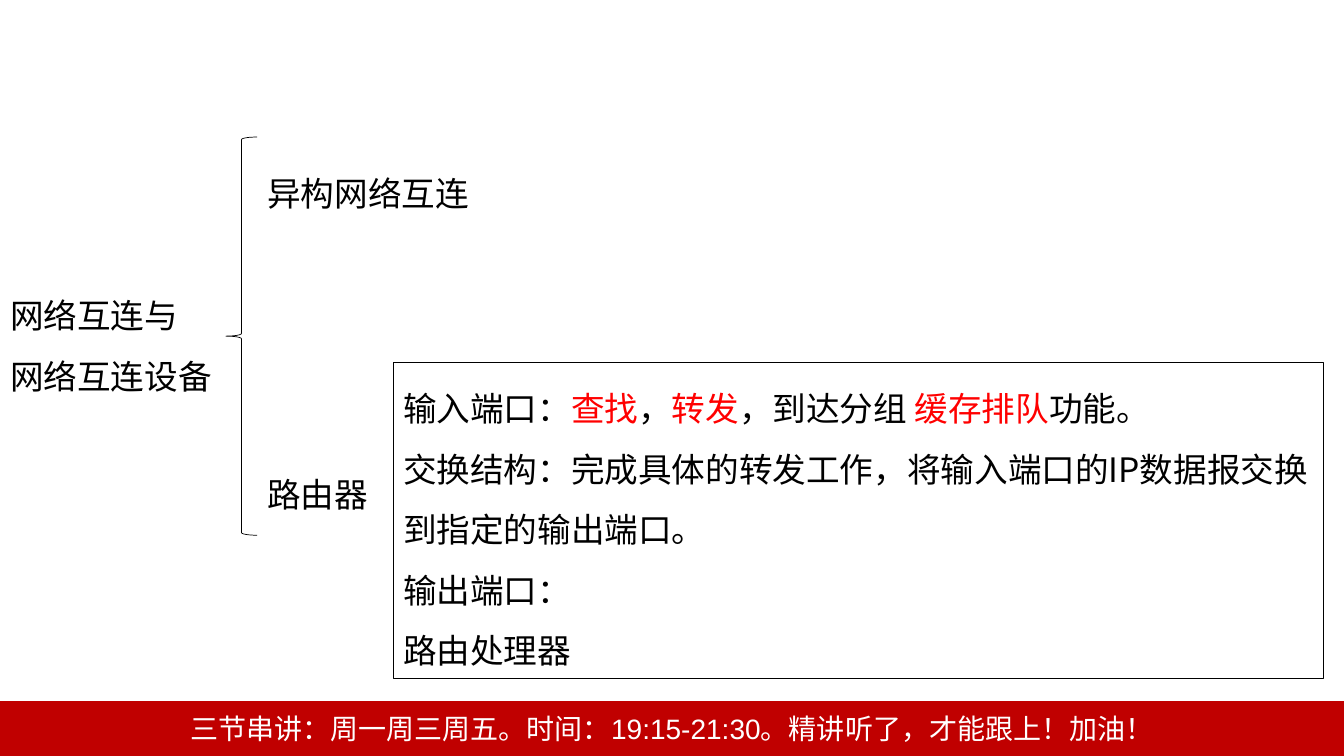
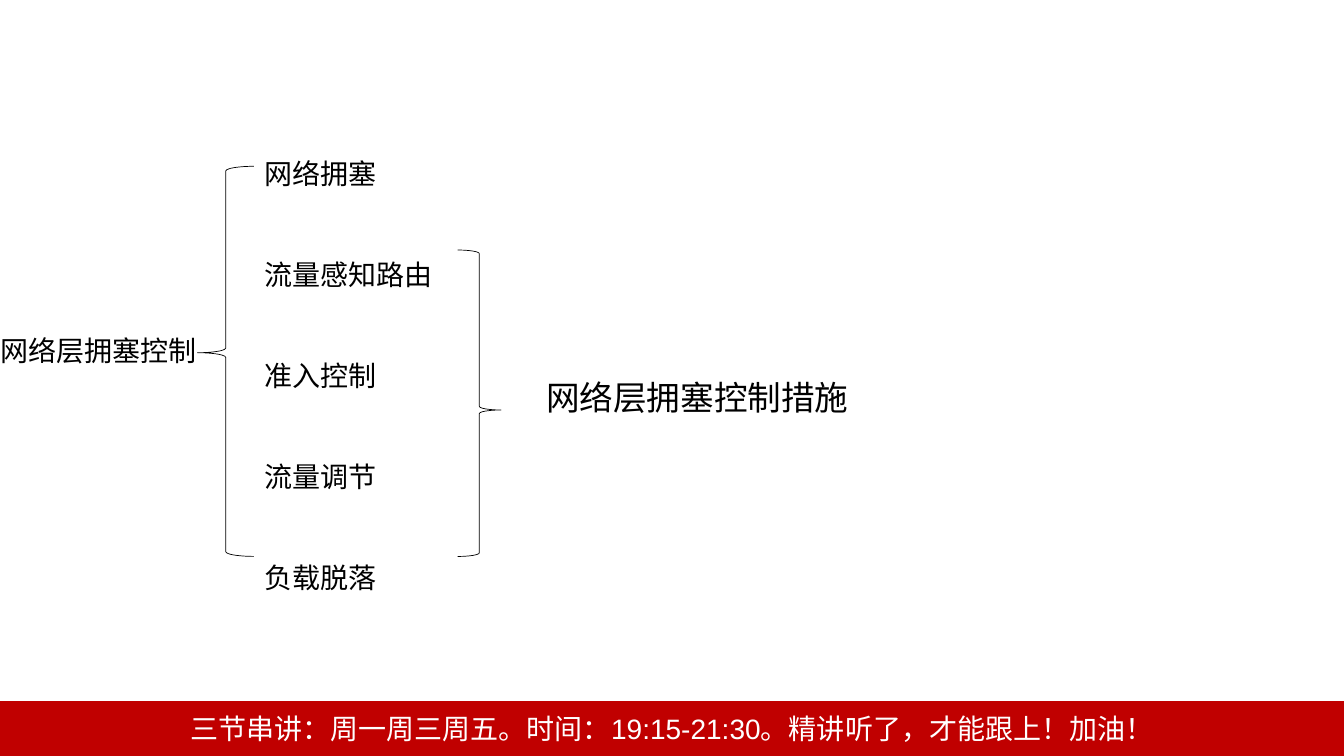
"""Build two outline slides on network interconnection and congestion control."""
import dataclasses

import lxml.etree
import pptx
import pptx.dml.color
import pptx.enum.shapes
import pptx.enum.text
import pptx.oxml.ns
import pptx.util

SHAPE = pptx.enum.shapes.MSO_SHAPE
ALIGN = pptx.enum.text.PP_ALIGN
ANCHOR = pptx.enum.text.MSO_ANCHOR


@dataclasses.dataclass(frozen=True)
class Theme:
    """Colours, fonts and type sizes of the deck."""
    ink: str = "000000"
    mark: str = "FF0000"
    band: str = "C00000"
    pale: str = "FFFFFF"
    sans: str = "Arial"
    han: str = "Noto Sans CJK SC"
    big: int = 24
    mid: int = 20


THEME = Theme()
NOTE = "三节串讲：周一周三周五。时间：19:15-21:30。精讲听了，才能跟上！加油！"


def tint(code):
    """Turn a hex code into a colour."""
    return pptx.dml.color.RGBColor.from_string(code)


def write(shape, lines, size=THEME.big, color=THEME.ink, face=THEME.han,
          align=ALIGN.LEFT, anchor=ANCHOR.TOP, lead=1.0, gap=0, inset=0.1):
    """Fill a shape with lines, where *stars* enclose marked words."""
    frame = shape.text_frame
    frame.word_wrap = True
    frame.auto_size = pptx.enum.text.MSO_AUTO_SIZE.NONE
    frame.vertical_anchor = anchor
    frame.margin_left = frame.margin_right = pptx.util.Inches(inset)
    frame.margin_top = frame.margin_bottom = pptx.util.Inches(0.05)
    for row, line in enumerate(lines):
        para = frame.paragraphs[0] if row == 0 else frame.add_paragraph()
        para.alignment = align
        para.line_spacing = lead
        para.space_before = pptx.util.Pt(gap if row else 0)
        para.space_after = pptx.util.Pt(0)
        props = para._p.get_or_add_pPr()
        props.set("marL", "0")
        props.set("indent", "0")
        lxml.etree.SubElement(props, pptx.oxml.ns.qn("a:buNone"))
        for turn, part in enumerate(line.split("*")):
            if not part:
                continue
            run = para.add_run()
            run.text = part
            run.font.size = pptx.util.Pt(size)
            run.font.color.rgb = tint(THEME.mark if turn % 2 else color)
            run.font.name = face
            east = lxml.etree.SubElement(run._r.get_or_add_rPr(), pptx.oxml.ns.qn("a:ea"))
            east.set("typeface", THEME.han)


class Deck:
    """Hold the style and the current slide; lengths are percent of the slide."""

    def __init__(self):
        """Open a wide deck."""
        self.show = pptx.Presentation()
        self.show.slide_width = pptx.util.Inches(13.33)
        self.show.slide_height = pptx.util.Inches(7.5)
        self.slide = None

    def area(self, left, top, width, height):
        """Turn shares of the slide into lengths."""
        wide, high = self.show.slide_width, self.show.slide_height
        return [round(share * side / 100) for share, side in
                zip((left, top, width, height), (wide, high, wide, high))]

    def page(self):
        """Start a slide with its footer band."""
        self.slide = self.show.slides.add_slide(self.show.slide_layouts[1])
        self.box((0, 92.8, 100, 7.2), [NOTE], fill=THEME.band, edge=THEME.band,
                 width=1, size=THEME.mid, color=THEME.pale, face=THEME.sans,
                 align=ALIGN.CENTER, anchor=ANCHOR.MIDDLE)

    def place(self, holder, area, lines, **style):
        """Move a placeholder and write in it."""
        holder.left, holder.top, holder.width, holder.height = self.area(*area)
        write(holder, lines, **style)

    def title(self, area, lines, **style):
        """Write the root topic."""
        self.place(self.slide.shapes.title, area, lines, **style)

    def list(self, area, lines, **style):
        """Write the branches of the topic."""
        self.place(self.slide.placeholders[1], area, lines, **style)

    def label(self, area, lines, **style):
        """Add a free text box."""
        write(self.slide.shapes.add_textbox(*self.area(*area)), lines, **style)

    def shape(self, kind, area, fill=None, edge=THEME.ink, width=0.5):
        """Add a flat preset shape."""
        shape = self.slide.shapes.add_shape(kind, *self.area(*area))
        shape.shadow.inherit = False
        if fill:
            shape.fill.solid()
            shape.fill.fore_color.rgb = tint(fill)
        else:
            shape.fill.background()
        shape.line.color.rgb = tint(edge)
        shape.line.width = pptx.util.Pt(width)
        return shape

    def box(self, area, lines, fill=None, edge=THEME.ink, width=0.75, **style):
        """Add a framed text."""
        write(self.shape(SHAPE.RECTANGLE, area, fill, edge, width), lines, **style)

    def brace(self, area, mid=0.5, turn=0):
        """Add a brace whose tip sits at a share of its height."""
        brace = self.shape(SHAPE.LEFT_BRACE, area)
        brace.adjustments[0] = 0.083
        brace.adjustments[1] = mid
        brace.rotation = turn


def main():
    """Build and save the deck."""
    deck = Deck()

    deck.page()
    deck.title((0, 35.73, 17.93, 17.47), ["网络互连与", "网络互连设备"],
               face=THEME.sans, lead=1.5)
    deck.list((19.13, 19.47, 28.88, 49.87), ["异构网络互连", "路由器"],
              face=THEME.sans, lead=1.5, gap=172.5)
    deck.brace((16.8, 18.13, 2.33, 52.67))
    deck.box((29.25, 48, 69.23, 41.73), [
        "输入端口：*查找*，*转发*，到达分组 *缓存排队*功能。",
        "交换结构：完成具体的转发工作，将输入端口的IP数据报交换到指定的输出端口。",
        "输出端口：",
        "路由处理器",
    ], lead=1.5)

    deck.page()
    deck.title((0, 43.47, 16.28, 5.87), ["网络层拥塞控制"], size=THEME.mid, inset=0)
    deck.list((18.9, 11.2, 16, 68.67),
              ["网络拥塞", "流量感知路由", "准入控制", "流量调节", "负载脱落"],
              size=THEME.mid, lead=3)
    deck.brace((14.7, 22, 4.2, 51.6), mid=0.478)
    deck.brace((34.05, 33.07, 3.23, 40.53), mid=0.478, turn=180)
    deck.label((39.9, 49.2, 24.22, 6.67), ["网络层拥塞控制措施"])

    deck.show.save("out.pptx")


if __name__ == "__main__":
    main()
